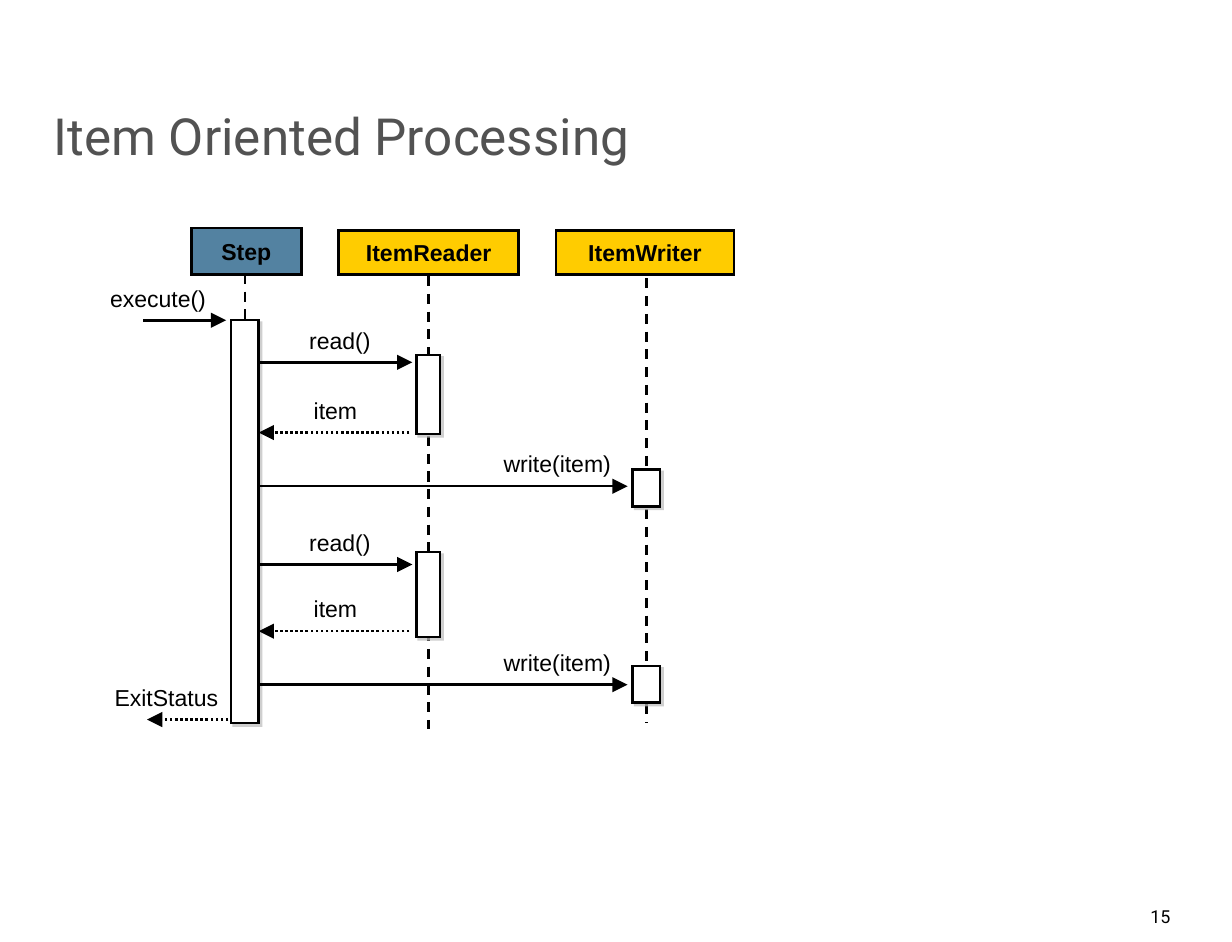
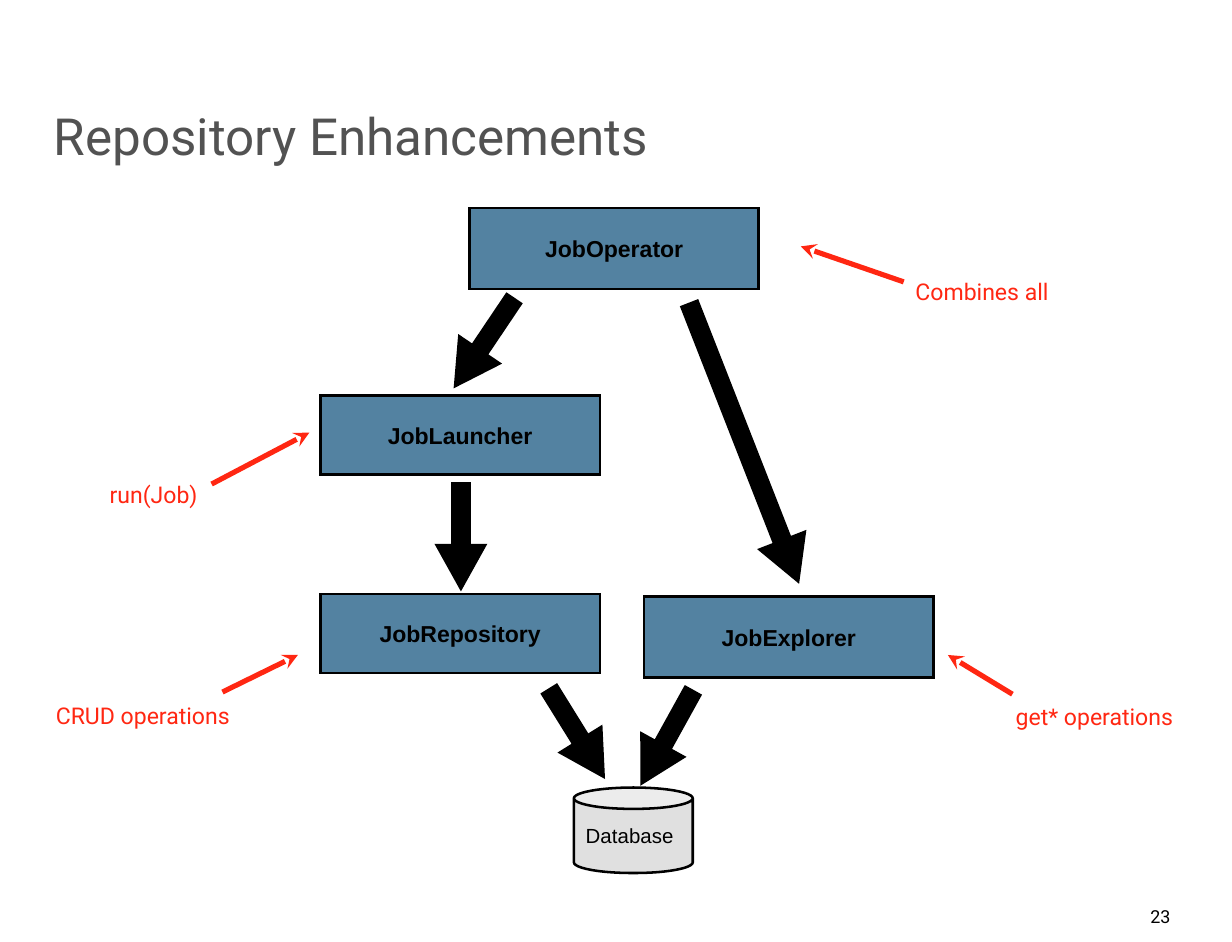
import math

import pptx
import pptx.dml.color
import pptx.enum.dml
import pptx.enum.shapes
import pptx.enum.text
import pptx.oxml
import pptx.oxml.ns
import pptx.util
from lxml import etree

Cm = pptx.util.Cm
Pt = pptx.util.Pt
SHAPE = pptx.enum.shapes.MSO_SHAPE
DASH = pptx.enum.dml.MSO_LINE
ALIGN = pptx.enum.text.PP_ALIGN
ANCHOR = pptx.enum.text.MSO_ANCHOR
qn = pptx.oxml.ns.qn

COLORS = {
    "black": "000000",
    "white": "FFFFFF",
    "title": "525252",
    "blue": "5382A1",
    "yellow": "FFCC00",
    "red": "FF2712",
    "shadow": "C0C0C0",
    "store": "E0E0E0",
}
DIAGRAM_FONT = "Arial"
PAGE_FONT = "Roboto"


def rgb(name):
    return pptx.dml.color.RGBColor.from_string(COLORS[name])


def write(frame, text, size, font=DIAGRAM_FONT, color="black", bold=False,
          align=ALIGN.CENTER, anchor=ANCHOR.MIDDLE, wrap=True):
    """Put one formatted run into a text frame without margins."""
    frame.auto_size = pptx.enum.text.MSO_AUTO_SIZE.NONE
    frame.word_wrap = wrap
    frame.vertical_anchor = anchor
    frame.margin_left = frame.margin_right = 0
    frame.margin_top = frame.margin_bottom = 0
    para = frame.paragraphs[0]
    para.alignment = align
    span = para.add_run()
    span.text = text
    span.font.size = Pt(size)
    span.font.name = font
    span.font.bold = bold
    span.font.color.rgb = rgb(color)


def add_text(page, text, left, top, width, height, size=9, **style):
    box = page.shapes.add_textbox(Cm(left), Cm(top), Cm(width), Cm(height))
    write(box.text_frame, text, size, **style)
    return box


def add_page(deck, title, number):
    """Add a slide with the shared title and page number."""
    page = deck.slides.add_slide(deck.slide_layouts[5])
    heading = page.shapes.title
    heading.left, heading.top = Cm(0.74), Cm(0.44)
    heading.width, heading.height = Cm(15.57), Cm(1.85)
    write(heading.text_frame, title, 20, PAGE_FONT, "title",
          align=ALIGN.LEFT, anchor=ANCHOR.BOTTOM)
    footer = add_text(page, str(number), 15.87, 12.45, 0.41, 0.41, 7,
                      font=PAGE_FONT, align=ALIGN.RIGHT,
                      anchor=ANCHOR.TOP, wrap=False)
    footer.text_frame.margin_right = Cm(0.13)
    footer.text_frame.margin_top = Cm(0.05)
    return page


def add_figure(page, kind, left, top, width, height, fill, weight=1):
    figure = page.shapes.add_shape(kind, Cm(left), Cm(top), Cm(width), Cm(height))
    figure.shadow.inherit = False
    figure.fill.solid()
    figure.fill.fore_color.rgb = rgb(fill)
    figure.line.color.rgb = rgb("black")
    figure.line.width = Pt(weight)
    etree.SubElement(figure.line._get_or_add_ln(), qn("a:miter"), lim="800000")
    return figure


def add_box(page, text, left, top, width, height, fill="blue"):
    box = add_figure(page, SHAPE.RECTANGLE, left, top, width, height, fill)
    write(box.text_frame, text, 9, bold=True)


def add_activation(page, center, top, width, height):
    """Add a white bar with a soft grey shadow on a lifeline."""
    bar = add_figure(page, SHAPE.RECTANGLE, center - width / 2, top,
                     width, height, "white")
    effects = bar._element.spPr.find(qn("a:effectLst"))
    shadow = etree.SubElement(effects, qn("a:outerShdw"), dist=str(Pt(1.4)),
                              dir="2700000", algn="ctr", rotWithShape="0")
    shade = etree.SubElement(shadow, qn("a:srgbClr"), val=COLORS["shadow"])
    etree.SubElement(shade, qn("a:alpha"), val="75000")


def add_line(page, start, end, color="black", weight=1, dash=None, tip=None):
    line = page.shapes.add_connector(
        pptx.enum.shapes.MSO_CONNECTOR.STRAIGHT,
        Cm(start[0]), Cm(start[1]), Cm(end[0]), Cm(end[1]))
    line.line.color.rgb = rgb(color)
    line.line.width = Pt(weight)
    if dash:
        line.line.dash_style = dash
    if tip:
        etree.SubElement(line.line._get_or_add_ln(), qn("a:tailEnd"), type=tip)
    etree.SubElement(line._element.spPr, qn("a:effectLst"))


def add_message(page, text, start, end, y, label_left, label_width, dash=None):
    """Add a horizontal arrow with its label just above."""
    add_line(page, (start, y), (end, y), dash=dash, tip="triangle")
    add_text(page, text, label_left, y - 0.5, label_width, 0.5,
             anchor=ANCHOR.TOP)


def add_block_arrow(page, start, end):
    """Add a thick arrow, turned so that it runs from start to end."""
    across, down = end[0] - start[0], end[1] - start[1]
    length, thickness = math.hypot(across, down), 0.61
    left = (start[0] + end[0] - length) / 2
    top = (start[1] + end[1] - thickness) / 2
    arrow = add_figure(page, SHAPE.RIGHT_ARROW, left, top, length, thickness,
                       "black", 2)
    arrow.adjustments[0] = 0.33
    arrow.adjustments[1] = 0.9
    arrow.rotation = math.degrees(math.atan2(down, across))


def add_callout(page, text, left, top, width, start, end):
    add_text(page, text, left, top, width, 0.48, font=PAGE_FONT, color="red",
             anchor=ANCHOR.BOTTOM)
    add_line(page, start, end, "red", 2, tip="stealth")


def build_sequence(deck):
    page = add_page(deck, "Item Oriented Processing", 15)
    step, reader, writer = 3.38, 5.91, 8.92

    # Lifelines
    for center, top, bottom in ((step, 3.78, 8.48), (reader, 3.81, 10.06),
                                (writer, 3.84, 9.98)):
        add_line(page, (center, top), (center, bottom), dash=DASH.DASH)

    # Participants
    add_box(page, "Step", 2.64, 3.15, 1.52, 0.64)
    add_box(page, "ItemReader", 4.67, 3.18, 2.49, 0.61, "yellow")
    add_box(page, "ItemWriter", 7.67, 3.18, 2.46, 0.61, "yellow")

    # Activations
    for bar in ((step, 4.42, 0.38, 5.56),
                (reader, 4.9, 0.33, 1.09), (reader, 7.62, 0.33, 1.17),
                (writer, 6.48, 0.38, 0.51), (writer, 9.19, 0.38, 0.51)):
        add_activation(page, *bar)

    # Messages: two rounds of read, item and write
    add_message(page, "execute()", 1.98, 3.12, 4.42, 1.42, 1.52)
    for read_y, item_y, write_y in ((5, 5.97, 6.71), (7.79, 8.71, 9.45)):
        add_message(page, "read()", 3.56, 5.69, read_y, 3.93, 1.52)
        add_message(page, "item", 5.65, 3.57, item_y, 4.11, 1.04, DASH.ROUND_DOT)
        add_message(page, "write(item)", 3.58, 8.66, write_y, 6.65, 2.08)
    add_message(page, "ExitStatus", 3.15, 2.03, 9.93, 1.42, 1.75, DASH.ROUND_DOT)


def build_repository(deck):
    page = add_page(deck, "Repository Enhancements", 23)

    # Components
    add_box(page, "JobOperator", 6.48, 2.87, 3.99, 1.12)
    add_box(page, "JobLauncher", 4.42, 5.46, 3.86, 1.09)
    add_box(page, "JobRepository", 4.42, 8.2, 3.86, 1.09)
    add_box(page, "JobExplorer", 8.89, 8.23, 3.99, 1.12)

    # Flow between components
    for start, end in (((7.08, 4.14), (6.3, 5.3)),
                       ((9.52, 4.21), (11, 7.99)),
                       ((6.36, 6.69), (6.36, 8.09)),
                       ((7.59, 9.53), (8.31, 10.69)),
                       ((9.55, 9.55), (8.87, 10.78))):
        add_block_arrow(page, start, end)

    # Database
    store = add_figure(page, SHAPE.CAN, 7.92, 10.87, 1.64, 1.18, "store")
    write(store.text_frame, "Database", 8)
    store.text_frame.margin_right = Cm(0.1)

    # Callouts
    add_callout(page, "Combines all", 11.99, 3.73, 3.12, (12.47, 3.89), (11.05, 3.4))
    add_callout(page, "run(Job)", 0.61, 6.53, 3.02, (2.92, 6.68), (4.27, 5.97))
    add_callout(page, "CRUD operations", 0.46, 9.58, 3.02, (3.07, 9.55), (4.11, 9.04))
    add_callout(page, "get* operations", 13.54, 9.6, 3.12, (13.97, 9.58), (13.08, 9.04))


def main():
    deck = pptx.Presentation()
    deck.slide_width, deck.slide_height = Cm(17), Cm(13)
    build_sequence(deck)
    build_repository(deck)
    deck.save("out.pptx")


if __name__ == "__main__":
    main()
